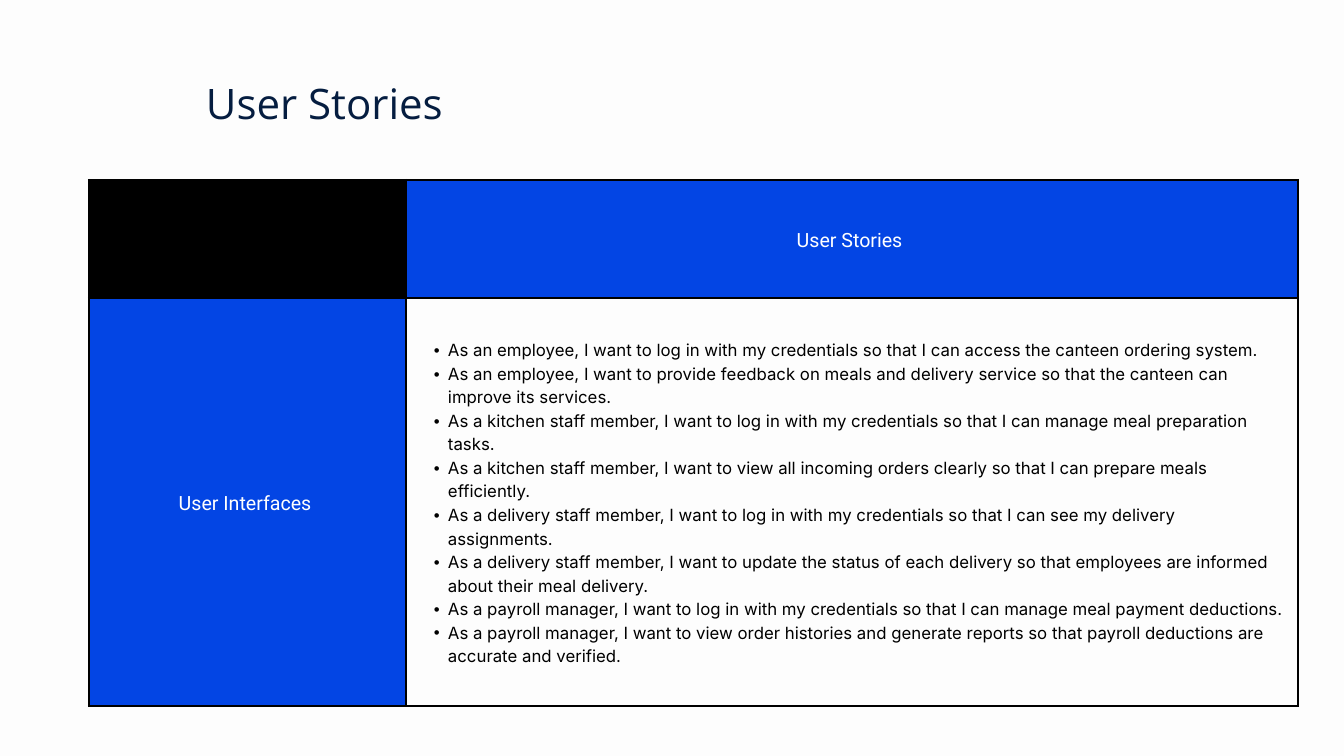
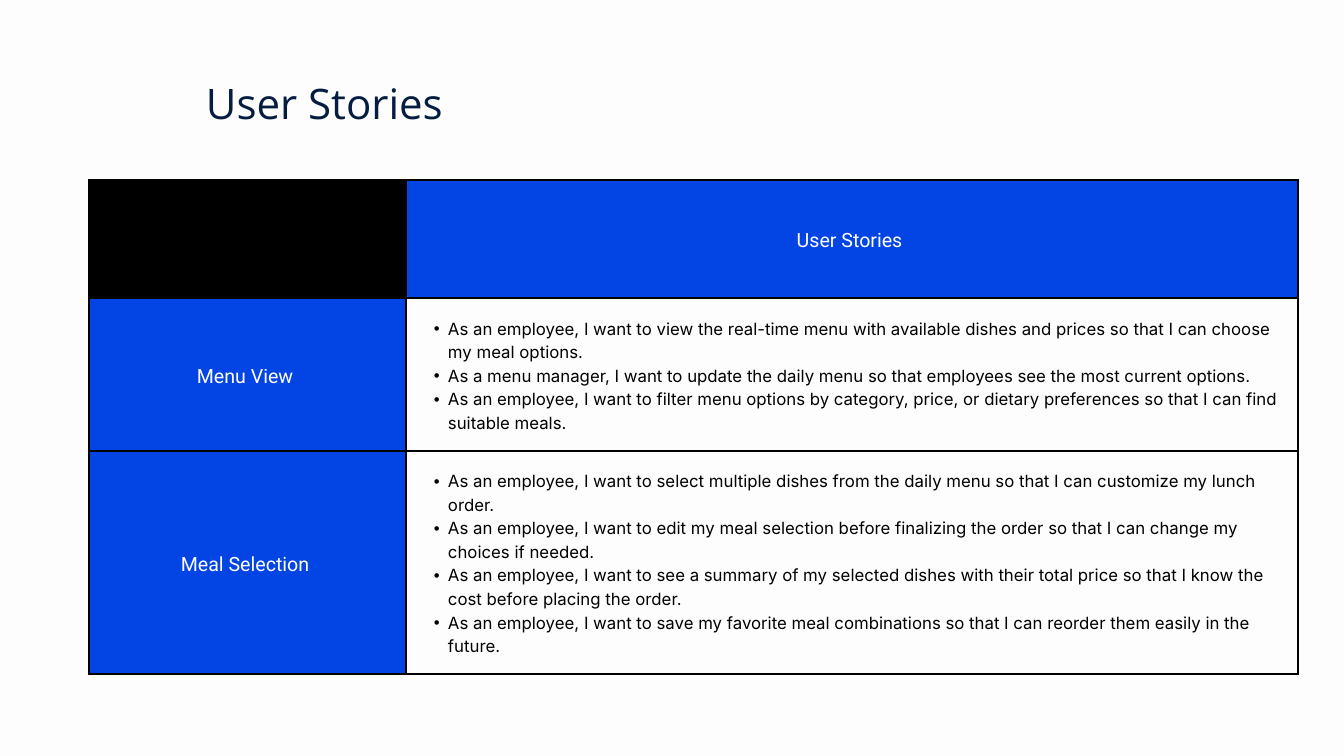
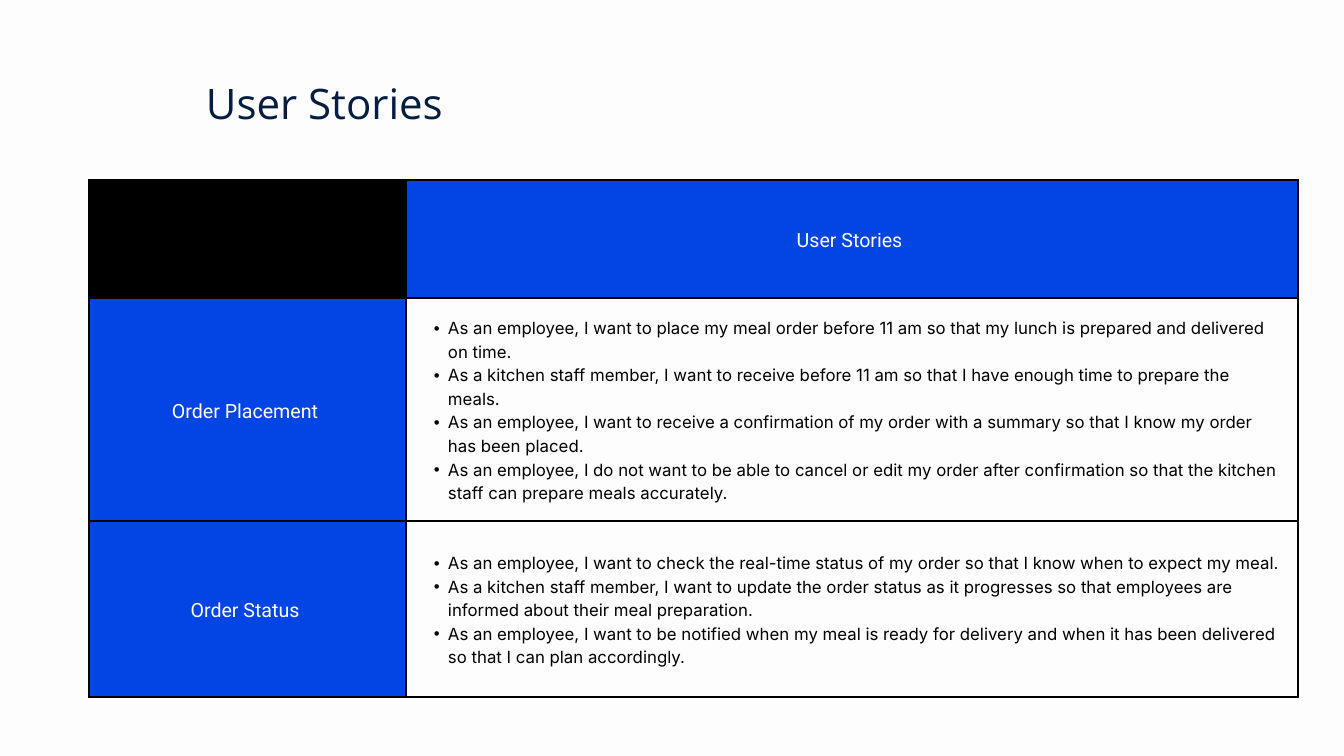
"""Build three slides of user stories, each a title over a bordered table."""
import lxml.etree
import pptx
import pptx.dml.color
import pptx.enum.text
import pptx.oxml.ns
import pptx.util

TITLE = "User Stories"
HEAD = "User Stories "
SLIDES = [
    [
        ("User Interfaces ", 408, [
            "As an employee, I want to log in with my credentials so that I can access the canteen ordering system.",
            "As an employee, I want to provide feedback on meals and delivery service so that the canteen can improve its services.",
            "As a kitchen staff member, I want to log in with my credentials so that I can manage meal preparation tasks.",
            "As a kitchen staff member, I want to view all incoming orders clearly so that I can prepare meals efficiently.",
            "As a delivery staff member, I want to log in with my credentials so that I can see my delivery assignments.",
            "As a delivery staff member, I want to update the status of each delivery so that employees are informed about their meal delivery.",
            "As a payroll manager, I want to log in with my credentials so that I can manage meal payment deductions.",
            "As a payroll manager, I want to view order histories and generate reports so that payroll deductions are accurate and verified.",
        ]),
    ],
    [
        ("Menu View ", 153, [
            "As an employee, I want to view the real-time menu with available dishes and prices so that I can choose my meal options.",
            "As a menu manager, I want to update the daily menu so that employees see the most current options.",
            "As an employee, I want to filter menu options by category, price, or dietary preferences so that I can find suitable meals.",
        ]),
        ("Meal Selection ", 223, [
            "As an employee, I want to select multiple dishes from the daily menu so that I can customize my lunch order.",
            "As an employee, I want to edit my meal selection before finalizing the order so that I can change my choices if needed.",
            "As an employee, I want to see a summary of my selected dishes with their total price so that I know the cost before placing the order.",
            "As an employee, I want to save my favorite meal combinations so that I can reorder them easily in the future.",
        ]),
    ],
    [
        ("Order Placement ", 223, [
            "As an employee, I want to place my meal order before 11 am so that my lunch is prepared and delivered on time.",
            "As a kitchen staff member, I want to receive before 11 am so that I have enough time to prepare the meals.",
            "As an employee, I want to receive a confirmation of my order with a summary so that I know my order has been placed.",
            "As an employee, I do not want to be able to cancel or edit my order after confirmation so that the kitchen staff can prepare meals accurately.",
        ]),
        ("Order Status ", 176, [
            "As an employee, I want to check the real-time status of my order so that I know when to expect my meal.",
            "As a kitchen staff member, I want to update the order status as it progresses so that employees are informed about their meal preparation.",
            "As an employee, I want to be notified when my meal is ready for delivery and when it has been delivered so that I can plan accordingly.",
        ]),
    ],
]

RGB = pptx.dml.color.RGBColor
PAPER = RGB(0xFD, 0xFD, 0xFD)
BLACK = RGB(0, 0, 0)
WHITE = RGB(0xFF, 0xFF, 0xFF)
BLUE = RGB(0x03, 0x45, 0xE4)
NAVY = RGB(0x05, 0x1D, 0x40)

Pt = pptx.util.Pt
ALIGN = pptx.enum.text.PP_ALIGN
ANCHOR = pptx.enum.text.MSO_ANCHOR
SIDES = ("left", "top", "right", "bottom")


def px(size):
    """Turn px into EMU."""
    return pptx.util.Emu(round(size * 914400 / 67.2))


def put(item, values):
    """Set each attribute named in a dict."""
    for name, value in values.items():
        setattr(item, name, value)


LEFT, TOP = 89, 180
COLS = (317, 892)
HIGH = 118
INSET = 14
PLACE = dict(left=px(206), top=px(69), width=px(546), height=px(56))
FRAME = dict(word_wrap=True, vertical_anchor=ANCHOR.TOP,
             auto_size=pptx.enum.text.MSO_AUTO_SIZE.SHAPE_TO_FIT_TEXT,
             **{f"margin_{side}": 0 for side in SIDES})
CELL = dict(vertical_anchor=ANCHOR.MIDDLE,
            **{f"margin_{side}": px(INSET) for side in SIDES})
BIG = (dict(alignment=ALIGN.LEFT, line_spacing=Pt(63)),
       dict(name="Open Sans", size=Pt(45)), NAVY)
LABEL = (dict(alignment=ALIGN.CENTER, line_spacing=Pt(29.4)),
         dict(name="Roboto", size=Pt(21)), WHITE)
STORY = (dict(level=1, alignment=ALIGN.LEFT, line_spacing=Pt(25.2)),
         dict(name="Inter", size=Pt(18)), BLACK)


def add(parent, tag, **values):
    """Append a drawing element."""
    return lxml.etree.SubElement(parent, pptx.oxml.ns.qn(tag), values)


def write(frame, lines, style, bullet=False):
    """Fill a text frame, one paragraph a line."""
    form, font, color = style
    for num, line in enumerate(lines):
        para = frame.add_paragraph() if num else frame.paragraphs[0]
        if bullet:
            props = para._p.get_or_add_pPr()
            props.set("marL", str(px(2 * INSET)))
            props.set("indent", str(-px(INSET)))
            add(props, "a:buFont", typeface="Arial")
            add(props, "a:buChar", char="•")
        put(para, form)
        run = para.add_run()
        run.text = line
        put(run.font, font)
        run.font.color.rgb = color


def style(cell, fill=None):
    """Give a cell its margins, borders and fill."""
    put(cell, CELL)
    props = cell._tc.get_or_add_tcPr()
    for side in "LRTB":
        line = add(props, f"a:ln{side}", w=str(Pt(3)))
        add(add(line, "a:solidFill"), "a:srgbClr", val=str(BLACK))
    if fill is None:
        cell.fill.background()
    else:
        cell.fill.solid()
        cell.fill.fore_color.rgb = fill


def build(deck, groups):
    """Add one slide with its title and table."""
    slide = deck.slides.add_slide(deck.slide_layouts[5])
    title = slide.shapes.title
    put(title, PLACE)
    put(title.text_frame, FRAME)
    write(title.text_frame, [TITLE], BIG)

    rows = [HIGH] + [high for _, high, _ in groups]
    grid = slide.shapes.add_table(len(rows), len(COLS), px(LEFT), px(TOP),
                                  px(sum(COLS)), px(sum(rows))).table
    put(grid, dict(first_row=False, horz_banding=False))
    for col, wide in zip(grid.columns, COLS):
        col.width = px(wide)
    for row, high in zip(grid.rows, rows):
        row.height = px(high)

    style(grid.cell(0, 0), BLACK)
    style(grid.cell(0, 1), BLUE)
    write(grid.cell(0, 1).text_frame, [HEAD], LABEL)
    for num, (name, _, tales) in enumerate(groups, 1):
        label, body = grid.cell(num, 0), grid.cell(num, 1)
        style(label, BLUE)
        write(label.text_frame, [name], LABEL)
        style(body)
        write(body.text_frame, tales, STORY, bullet=True)


def main():
    """Build and save the deck."""
    deck = pptx.Presentation()
    put(deck, dict(slide_width=px(1344), slide_height=px(756)))
    fill = deck.slide_master.background.fill
    fill.solid()
    fill.fore_color.rgb = PAPER
    for groups in SLIDES:
        build(deck, groups)
    deck.save("out.pptx")


if __name__ == "__main__":
    main()
